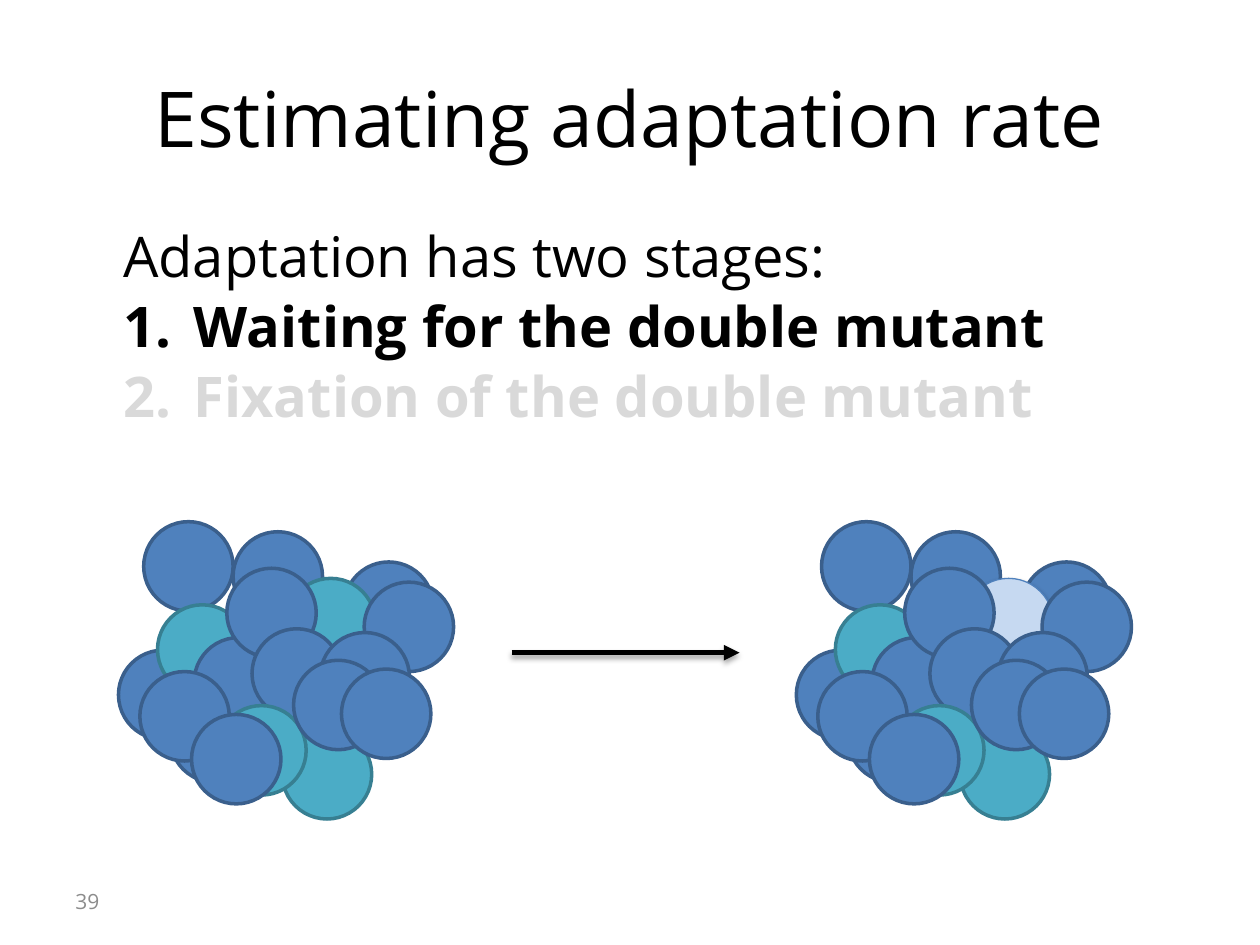
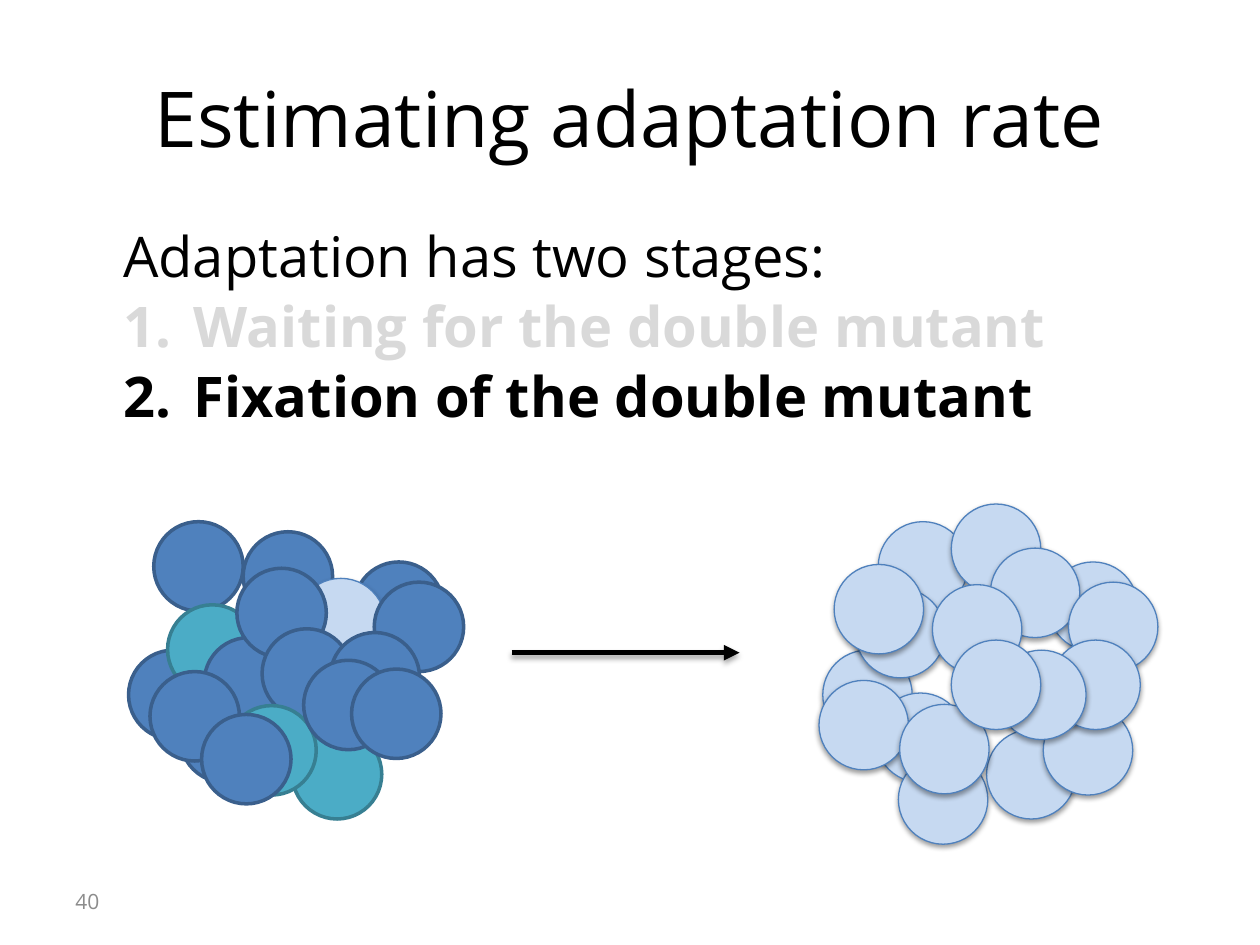
"""Two slides on the two stages of adaptation, drawn as changing cell populations."""
from lxml import etree
from pptx import Presentation
from pptx.dml.color import RGBColor
from pptx.enum.shapes import MSO_CONNECTOR, MSO_SHAPE
from pptx.enum.text import MSO_ANCHOR, PP_ALIGN
from pptx.oxml.ns import qn
from pptx.util import Inches, Pt

STRAIGHT, OVAL = MSO_CONNECTOR.STRAIGHT, MSO_SHAPE.OVAL
TOP, MIDDLE = MSO_ANCHOR.TOP, MSO_ANCHOR.MIDDLE
LEFT, CENTER = PP_ALIGN.LEFT, PP_ALIGN.CENTER

BLACK = RGBColor(0x00, 0x00, 0x00)
FADED = RGBColor(0xD9, 0xD9, 0xD9)
NUMBER_GRAY = RGBColor(0x8C, 0x8C, 0x8C)
BLUE = RGBColor(0x4F, 0x81, 0xBD)
BLUE_EDGE = RGBColor(0x3A, 0x5F, 0x8C)
TEAL = RGBColor(0x4B, 0xAC, 0xC6)
TEAL_EDGE = RGBColor(0x37, 0x7F, 0x92)
PALE = RGBColor(0xC6, 0xD9, 0xF1)

FONT = "Open Sans"
TITLE = "Estimating adaptation rate"
INTRO = "Adaptation has two stages:"
STAGES = ["Waiting for the double mutant", "Fixation of the double mutant"]

CELL_SIZE = 0.71
CELL_STYLES = {
    "wild": {"fill": BLUE, "edge": BLUE_EDGE, "width": 2, "shadow": False},
    "single": {"fill": TEAL, "edge": TEAL_EDGE, "width": 2, "shadow": False},
    "double": {"fill": PALE, "edge": BLUE, "width": 0.75, "shadow": True},
}
MIXED_CELLS = [
    (0.2, 4.14), (0.91, 4.22), (0, 5.16), (1.79, 4.46), (0.31, 4.8), (1.33, 4.59),
    (0.41, 5.5), (0.6, 5.06), (0.86, 4.51), (1.3, 5.79), (1.06, 4.99), (0.17, 5.33),
    (1.95, 4.62), (0.78, 5.6), (1.6, 5.02), (0.58, 5.67), (1.39, 5.24), (1.77, 5.31),
]
FIXED_CELLS = [
    (0.47, 4.14), (1.05, 4), (0.03, 5.16), (1.82, 4.46), (0.29, 4.67), (1.36, 4.35),
    (0.45, 5.5), (0.63, 5.99), (0.9, 4.64), (1.33, 5.79), (1.78, 5.6), (0, 5.4),
    (1.98, 4.62), (0.64, 5.59), (1.84, 5.08), (1.41, 5.16), (1.05, 5.08), (0.12, 4.48),
]
SINGLE_MUTANTS = {4, 5, 9, 13}
DOUBLE_MUTANT = {5}
ALL_CELLS = set(range(len(FIXED_CELLS)))

SLIDES = [
    {"number": 39, "active": 0, "populations": [
        (0.94, MIXED_CELLS, set()), (6.32, MIXED_CELLS, DOUBLE_MUTANT)]},
    {"number": 40, "active": 1, "populations": [
        (1.02, MIXED_CELLS, DOUBLE_MUTANT), (6.5, FIXED_CELLS, ALL_CELLS)]},
]


def format_font(font, size, color, bold=False):
    for key, value in {"name": FONT, "size": Pt(size), "bold": bold}.items():
        setattr(font, key, value)
    font.color.rgb = color


def add_box(slide, left, top, width, height, anchor):
    box = slide.shapes.add_textbox(*map(Inches, (left, top, width, height)))
    box.text_frame.word_wrap = True
    box.text_frame.vertical_anchor = anchor
    return box.text_frame


def add_line_of_text(slide, text, area, size, color, align):
    paragraph = add_box(slide, *area, MIDDLE).paragraphs[0]
    paragraph.text = text
    paragraph.alignment = align
    format_font(paragraph.font, size, color)


def add_stages(slide, active):
    frame = add_box(slide, 0.5, 1.75, 9, 4.95, TOP)
    for index, text in enumerate([INTRO, *STAGES]):
        paragraph = frame.paragraphs[0] if index == 0 else frame.add_paragraph()
        paragraph.text = text
        paragraph.line_spacing = 0.95
        margin, indent = (0.94, -0.56) if index else (0.38, 0)
        properties = paragraph._p.get_or_add_pPr()
        properties.set("marL", str(Inches(margin)))
        properties.set("indent", str(Inches(indent)))
        if index:
            paragraph.space_before = Pt(3.5)
            etree.SubElement(properties, qn("a:buFont"), typeface="+mj-lt")
            etree.SubElement(properties, qn("a:buAutoNum"), type="arabicPeriod")
        color = BLACK if index in (0, active + 1) else FADED
        format_font(paragraph.font, 32, color, bold=index > 0)
        format_font(paragraph.runs[0].font, 32, color, bold=index > 0)


def add_shadow(effects, distance, opacity):
    shadow = etree.SubElement(effects, qn("a:outerShdw"), blurRad=str(Pt(3.1)),
                              dist=str(Pt(distance)), dir="5400000", rotWithShape="0")
    black = etree.SubElement(shadow, qn("a:srgbClr"), val=str(BLACK))
    etree.SubElement(black, qn("a:alpha"), val=str(opacity * 1000))


def add_cell(slide, left, top, style):
    cell = slide.shapes.add_shape(OVAL, Inches(left), Inches(top),
                                  Inches(CELL_SIZE), Inches(CELL_SIZE))
    cell.shadow.inherit = False
    cell.fill.solid()
    cell.fill.fore_color.rgb = style["fill"]
    cell.line.color.rgb = style["edge"]
    cell.line.width = Pt(style["width"])
    if style["shadow"]:
        add_shadow(cell._element.spPr.find(qn("a:effectLst")), 1.6, 38)


def add_population(slide, left, cells, double_mutants):
    for index, (x, y) in enumerate(cells):
        kind = "single" if index in SINGLE_MUTANTS else "wild"
        if index in double_mutants:
            kind = "double"
        add_cell(slide, left + x, y, CELL_STYLES[kind])


def add_arrow(slide):
    arrow = slide.shapes.add_connector(
        STRAIGHT, *map(Inches, (4.06, 5.18, 5.87, 5.18)))
    arrow.line.color.rgb = BLACK
    arrow.line.width = Pt(3)
    etree.SubElement(arrow.line._get_or_add_ln(), qn("a:tailEnd"), type="triangle")
    effects = etree.SubElement(arrow._element.spPr, qn("a:effectLst"))
    add_shadow(effects, 1.8, 35)


def main():
    deck = Presentation()
    deck.slide_width, deck.slide_height = Inches(10), Inches(7.5)
    for content in SLIDES:
        slide = deck.slides.add_slide(deck.slide_layouts[6])
        add_line_of_text(slide, TITLE, (0.5, 0.3, 9, 1.25), 44, BLACK, CENTER)
        add_stages(slide, content["active"])
        add_line_of_text(slide, str(content["number"]), (0.5, 6.95, 2.33, 0.4),
                         12, NUMBER_GRAY, LEFT)
        for population in content["populations"]:
            add_population(slide, *population)
        add_arrow(slide)
    deck.save("out.pptx")


if __name__ == "__main__":
    main()
